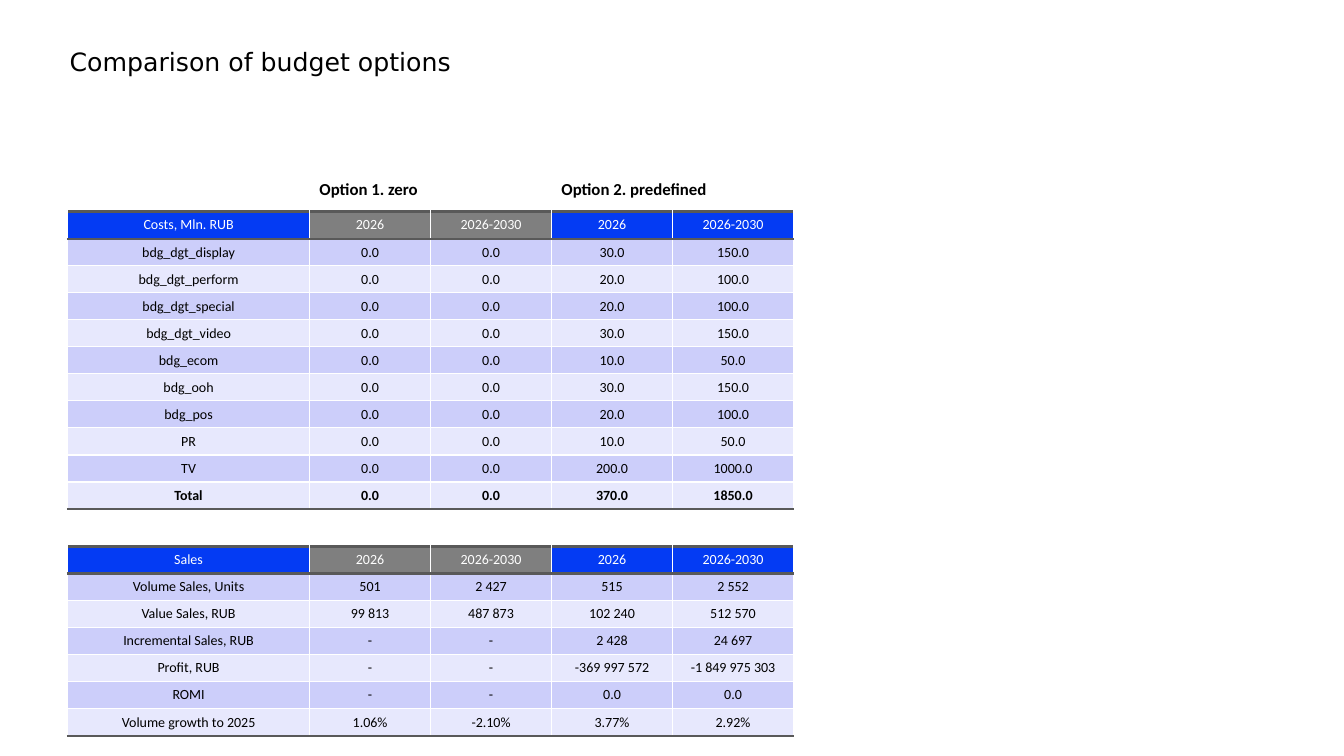
"""Build the budget options comparison slide with its cost and sales tables."""
from lxml.etree import SubElement
from pptx import Presentation
from pptx.dml.color import RGBColor
from pptx.enum.text import MSO_ANCHOR, PP_ALIGN
from pptx.oxml.ns import qn
from pptx.util import Inches, Pt

BLACK = RGBColor(0x00, 0x00, 0x00)
WHITE = RGBColor(0xFF, 0xFF, 0xFF)
BLUE = RGBColor(0x04, 0x3B, 0xF3)
GREY = RGBColor(0x7F, 0x7F, 0x7F)
DARK_GREY = RGBColor(0x59, 0x59, 0x59)
LAVENDER = RGBColor(0xCC, 0xCE, 0xFA)
PALE_LAVENDER = RGBColor(0xE7, 0xE8, 0xFD)

TABLE_LEFT = 0.67
LABEL_WIDTH = 2.4
VALUE_WIDTH = 1.2
PERIODS = ["2026", "2026-2030"] * 2
HEADER_FILLS = [BLUE, GREY, GREY, BLUE, BLUE]

COSTS = [
    ["Costs, Mln. RUB", *PERIODS],
    ["bdg_dgt_display", "0.0", "0.0", "30.0", "150.0"],
    ["bdg_dgt_perform", "0.0", "0.0", "20.0", "100.0"],
    ["bdg_dgt_special", "0.0", "0.0", "20.0", "100.0"],
    ["bdg_dgt_video", "0.0", "0.0", "30.0", "150.0"],
    ["bdg_ecom", "0.0", "0.0", "10.0", "50.0"],
    ["bdg_ooh", "0.0", "0.0", "30.0", "150.0"],
    ["bdg_pos", "0.0", "0.0", "20.0", "100.0"],
    ["PR", "0.0", "0.0", "10.0", "50.0"],
    ["TV", "0.0", "0.0", "200.0", "1000.0"],
    ["Total", "0.0", "0.0", "370.0", "1850.0"],
]
SALES = [
    ["Sales", *PERIODS],
    ["Volume Sales, Units", "501", "2 427", "515", "2 552"],
    ["Value Sales, RUB", "99 813", "487 873", "102 240", "512 570"],
    ["Incremental Sales, RUB", "-", "-", "2 428", "24 697"],
    ["Profit, RUB", "-", "-", "-369 997 572", "-1 849 975 303"],
    ["ROMI", "-", "-", "0.0", "0.0"],
    ["Volume growth to 2025", "1.06%", "-2.10%", "3.77%", "2.92%"],
]


def format_text(paragraph, size, color, bold=False, name="Calibri"):
    font = paragraph.runs[0].font
    font.name = name
    font.size = Pt(size)
    font.bold = bold
    font.color.rgb = color


def add_border(cell, side, color, width):
    line = SubElement(cell._tc.get_or_add_tcPr(), qn(f"a:{side}"), w=str(Pt(width)))
    fill = SubElement(line, qn("a:solidFill"))
    SubElement(fill, qn("a:srgbClr"), val=str(color))


presentation = Presentation()
presentation.slide_width = Inches(13.33)
presentation.slide_height = Inches(7.5)
slide = presentation.slides.add_slide(presentation.slide_layouts[5])

title = slide.shapes.title
title.left, title.top = Inches(0.69), Inches(0.49)
title.width, title.height = Inches(11.99), Inches(0.86)
title_frame = title.text_frame
title_frame.text = "Comparison of budget options"
title_frame.vertical_anchor = MSO_ANCHOR.TOP
title_frame.margin_left = title_frame.margin_right = 0
title_frame.margin_top = title_frame.margin_bottom = 0
title_frame.paragraphs[0].alignment = PP_ALIGN.LEFT
title_frame.paragraphs[0].line_spacing = 0.9
format_text(title_frame.paragraphs[0], 18, BLACK, name="DejaVu Sans")

for index, option in enumerate(["Option 1. zero", "Option 2. predefined"]):
    left = TABLE_LEFT + LABEL_WIDTH + index * 2 * VALUE_WIDTH
    heading = slide.shapes.add_textbox(
        Inches(left), Inches(1.72), Inches(2 * VALUE_WIDTH), Inches(0.38))
    heading.text_frame.word_wrap = True
    heading.text_frame.text = option
    format_text(heading.text_frame.paragraphs[0], 12, BLACK, bold=True)

for rows, top, height in [(COSTS, 2.1, 2.95), (SALES, 5.42, 1.88)]:
    table = slide.shapes.add_table(
        len(rows), len(rows[0]), Inches(TABLE_LEFT), Inches(top),
        Inches(LABEL_WIDTH + 4 * VALUE_WIDTH), Inches(height)).table
    for index, column in enumerate(table.columns):
        column.width = Inches(VALUE_WIDTH if index else LABEL_WIDTH)
    ruled_edges = {0, 1, len(rows)}
    for row_index, row in enumerate(rows):
        for column_index, text in enumerate(row):
            cell = table.cell(row_index, column_index)
            cell.margin_top = cell.margin_bottom = Inches(0.04)
            cell.vertical_anchor = MSO_ANCHOR.MIDDLE
            cell.text_frame.text = text
            paragraph = cell.text_frame.paragraphs[0]
            paragraph.alignment = PP_ALIGN.CENTER
            format_text(paragraph, 10, BLACK if row_index else WHITE, row[0] == "Total")
            for side in ["lnL", "lnR"]:
                add_border(cell, side, WHITE, 1)
            for side, edge in [("lnT", row_index), ("lnB", row_index + 1)]:
                if edge in ruled_edges:
                    add_border(cell, side, DARK_GREY, 1.97)
                else:
                    add_border(cell, side, WHITE, 1)
            cell.fill.solid()
            if row_index == 0:
                cell.fill.fore_color.rgb = HEADER_FILLS[column_index]
            else:
                cell.fill.fore_color.rgb = LAVENDER if row_index % 2 else PALE_LAVENDER

presentation.save("out.pptx")
